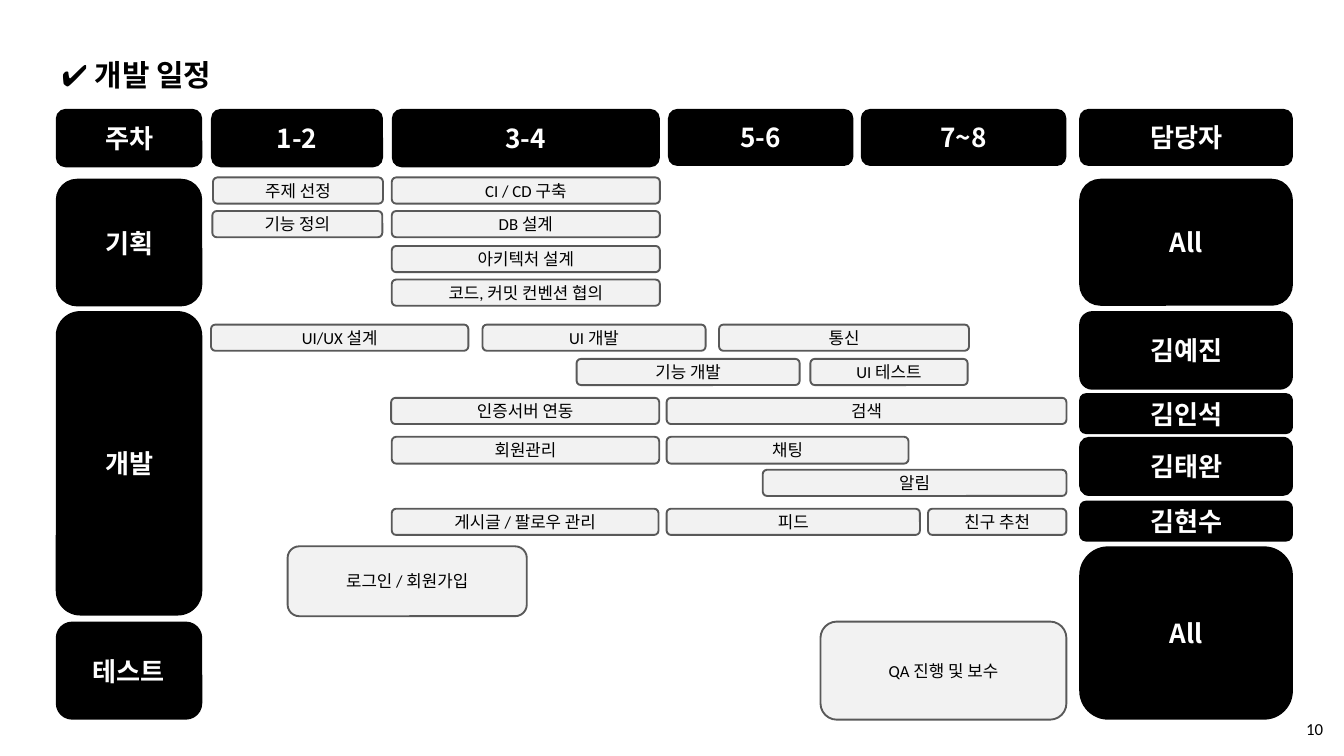
from lxml import etree
from pptx import Presentation
from pptx import util as u
from pptx.dml.color import RGBColor
from pptx.enum import shapes, text
from pptx.oxml.ns import qn

PX = 9144
HUES = {"dark": "000000", "pale": "F2F2F2", "edge": "595959", "white": "FFFFFF"}
SANS, BODY = "Noto Sans CJK KR", "Calibri"

TITLE = "✔️ 개발 일정"
PAGE = "10"
WEEKS = [
    ("주차", 83, 218, 87), ("1-2", 314, 256, 87), ("3-4", 583, 399, 87),
    ("5-6", 994, 276, 85), ("7~8", 1281, 306, 85), ("담당자", 1606, 318, 85),
]
PHASES = [("기획", 266, 190), ("개발", 463, 453), ("테스트", 925, 146)]
OWNERS = [
    ("All", 266, 189), ("김예진", 463, 117), ("김인석", 585, 61),
    ("김태완", 650, 88), ("김현수", 745, 61), ("All", 813, 258),
]
TASKS = [
    (264, 39, [("주제 선정", 317, 253), ("CI / CD 구축", 583, 399)]),
    (314, 39, [("기능 정의", 316, 253), ("DB 설계", 583, 399)]),
    (366, 39, [("아키텍처 설계", 583, 399)]),
    (416, 39, [("코드, 커밋 컨벤션 협의", 583, 399)]),
    (483, 39, [("UI/UX 설계", 314, 383), ("UI 개발", 718, 332), ("통신", 1070, 372)]),
    (534, 39, [("기능 개발", 858, 332), ("UI 테스트", 1206, 234)]),
    (592, 39, [("인증서버 연동", 582, 399), ("검색", 992, 595)]),
    (650, 40, [("회원관리", 583, 398), ("채팅", 992, 360)]),
    (699, 39, [("알림", 1135, 452)]),
    (757, 39, [("게시글 / 팔로우 관리", 583, 397), ("피드", 992, 377),
               ("친구 추천", 1381, 206)]),
    (813, 104, [("로그인 / 회원가입", 428, 356)]),
    (925, 146, [("QA 진행 및 보수", 1221, 366)]),
]
HEAD = {"name": SANS, "size": u.Pt(28), "bold": True}
NOTE = {"name": BODY, "size": u.Pt(18), "bold": False}


def tint(name):
    return RGBColor.from_string(HUES[name])


def write(frame, words, look, hue):
    para = frame.paragraphs[0]
    run = para.add_run()
    run.text = words
    for key, val in look.items():
        setattr(run.font, key, val)
    run.font.color.rgb = tint(hue)
    east = etree.SubElement(run.font._element, qn("a:ea"))
    east.set("typeface", SANS)
    return para


def block(words, box, fill, look, hue, edge=None):
    card = slide.shapes.add_shape(
        shapes.MSO_SHAPE.ROUNDED_RECTANGLE, *[n * PX for n in box])
    card.shadow.inherit = False
    card.fill.solid()
    card.fill.fore_color.rgb = tint(fill)
    if edge:
        card.line.color.rgb = tint(edge)
        card.line.width = u.Pt(2)
    else:
        card.line.fill.background()
    frame = card.text_frame
    frame.word_wrap = True
    frame.vertical_anchor = text.MSO_ANCHOR.MIDDLE
    write(frame, words, look, hue).alignment = text.PP_ALIGN.CENTER


def label(words, box, look, wrap):
    frame = slide.shapes.add_textbox(*[n * PX for n in box]).text_frame
    frame.word_wrap = wrap
    return write(frame, words, look, "dark")


deck = Presentation()
deck.slide_width, deck.slide_height = 2000 * PX, 1125 * PX
slide = deck.slides.add_slide(deck.slide_layouts[6])

label(TITLE, (82, 53, 408, 87), {**HEAD, "size": u.Pt(32)}, True).line_spacing = 1.5

heads = [(words, (x, 162, w, h)) for words, x, w, h in WEEKS]
for column, (_, x, w, _) in ((PHASES, WEEKS[0]), (OWNERS, WEEKS[-1])):
    heads += [(words, (x, y, w, h)) for words, y, h in column]
for words, box in heads:
    block(words, box, "dark", HEAD, "white")

for y, h, row in TASKS:
    for words, x, w in row:
        block(words, (x, y, w, h), "pale", NOTE, "dark", "edge")

label(PAGE, (1934, 1064, 46, 40), NOTE, False)

deck.save("out.pptx")
